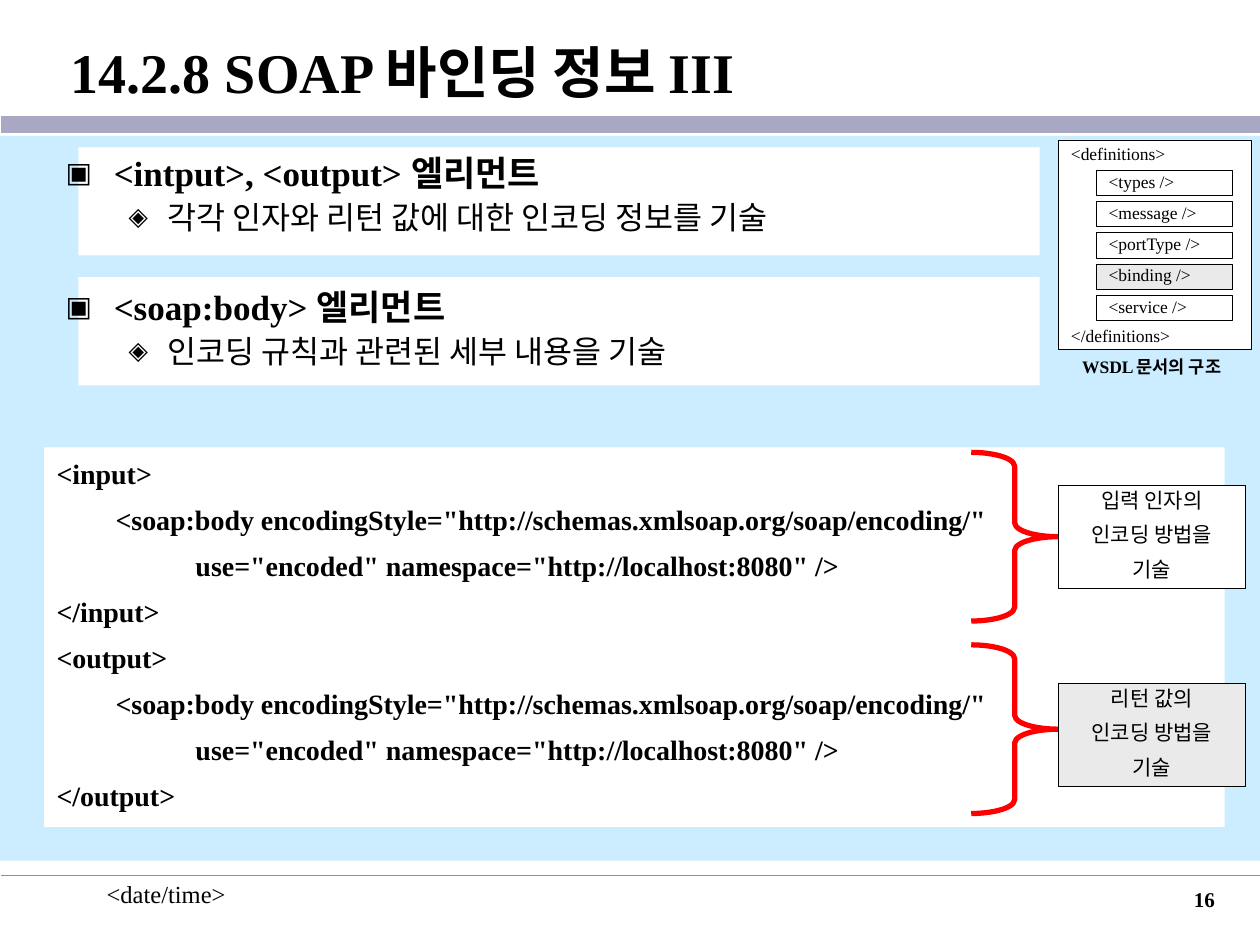
from dataclasses import dataclass

from lxml.etree import SubElement
from pptx import Presentation
from pptx.dml.color import RGBColor
from pptx.enum.shapes import MSO_CONNECTOR, MSO_SHAPE
from pptx.enum.text import MSO_ANCHOR, MSO_AUTO_SIZE, PP_ALIGN
from pptx.oxml.ns import qn
from pptx.util import Cm, Pt


@dataclass(frozen=True)
class Theme:
    font: str = "Times New Roman"
    ink: str = "000000"
    paper: str = "FFFFFF"
    sky: str = "CCECFF"
    highlight: str = "EAEAEA"
    brace: str = "FF0000"
    header_rule: str = "A8A8C4"
    footer_rule: str = "8C8CB2"
    title: int = 32
    topic: int = 20
    detail: int = 18
    code: int = 16
    date: int = 14
    note: int = 12
    small: int = 10


class SlideBuilder:
    def __init__(self, slide, theme):
        self.slide = slide
        self.theme = theme

    def style(self, paragraph, size, bold=False, align=PP_ALIGN.LEFT, spacing=0.85, before=0):
        paragraph.alignment = align
        paragraph.line_spacing = spacing
        paragraph.space_before = Pt(before)
        font = paragraph.font
        font.name = self.theme.font
        font.size = Pt(size)
        font.bold = bold
        font.color.rgb = RGBColor.from_string(self.theme.ink)

    def fill_text(self, shape, lines, size, before=0, anchor=MSO_ANCHOR.TOP, tabs=(), wrap=True, **look):
        frame = shape.text_frame
        frame.word_wrap = wrap
        frame.auto_size = MSO_AUTO_SIZE.NONE
        frame.vertical_anchor = anchor
        for index, line in enumerate(lines):
            paragraph = frame.paragraphs[0] if index == 0 else frame.add_paragraph()
            paragraph.text = line
            if tabs:
                stops = SubElement(paragraph._p.get_or_add_pPr(), qn("a:tabLst"))
                for stop in tabs:
                    SubElement(stops, qn("a:tab"), pos=str(Cm(stop)), algn="l")
            self.style(paragraph, size, before=before if index else 0, **look)

    def place(self, placeholder, left, top, width, height):
        placeholder.left, placeholder.top = Cm(left), Cm(top)
        placeholder.width, placeholder.height = Cm(width), Cm(height)
        placeholder.element.getparent().append(placeholder.element)
        return placeholder

    def title(self, text, *box):
        heading = self.place(self.slide.shapes.title, *box)
        heading.text_frame.margin_left = Cm(1.4)
        self.fill_text(heading, [text], self.theme.title, anchor=MSO_ANCHOR.MIDDLE, bold=True, spacing=1)

    def topics(self, topics, *box):
        body = self.place(self.slide.placeholders[1], *box)
        frame = body.text_frame
        frame.word_wrap = True
        frame.auto_size = MSO_AUTO_SIZE.NONE
        for index, (topic, detail) in enumerate(topics):
            heading = frame.add_paragraph() if index else frame.paragraphs[0]
            self.bullet(heading, topic, "▣", 0.97, 0.97)
            self.style(heading, self.theme.topic, bold=True, spacing=0.9, before=31 if index else 0)
            explanation = frame.add_paragraph()
            explanation.level = 1
            self.bullet(explanation, detail, "◈", 2.06, 0.79)
            self.style(explanation, self.theme.detail, spacing=0.9, before=4.5)

    def bullet(self, paragraph, text, mark, margin, hanging):
        paragraph.text = text
        properties = paragraph._p.get_or_add_pPr()
        properties.set("marL", str(Cm(margin)))
        properties.set("indent", str(-Cm(hanging)))
        colour = SubElement(properties, qn("a:buClr"))
        SubElement(colour, qn("a:srgbClr"), val=self.theme.ink)
        SubElement(properties, qn("a:buSzPct"), val="80000")
        SubElement(properties, qn("a:buChar"), char=mark)

    def box(self, left, top, width, height, fill, outlined=False):
        box = self.slide.shapes.add_shape(
            MSO_SHAPE.RECTANGLE, Cm(left), Cm(top), Cm(width), Cm(height))
        box.shadow.inherit = False
        box.fill.solid()
        box.fill.fore_color.rgb = RGBColor.from_string(fill)
        if outlined:
            box.line.color.rgb = RGBColor.from_string(self.theme.ink)
            box.line.width = Pt(0.25)
        else:
            box.line.fill.background()
        return box

    def label(self, text, left, top, width, height, size, **look):
        label = self.slide.shapes.add_textbox(Cm(left), Cm(top), Cm(width), Cm(height))
        self.fill_text(label, [text], size, **look)

    def rule(self, top, colour, weight):
        rule = self.slide.shapes.add_connector(
            MSO_CONNECTOR.STRAIGHT, Cm(0.03), Cm(top), Cm(25.4), Cm(top))
        rule.line.color.rgb = RGBColor.from_string(colour)
        rule.line.width = Pt(weight)
        SubElement(rule.element.spPr, qn("a:effectLst"))

    def brace(self, left, top, width, height):
        brace = self.slide.shapes.add_shape(
            MSO_SHAPE.RIGHT_BRACE, Cm(left), Cm(top), Cm(width), Cm(height))
        brace.shadow.inherit = False
        brace.adjustments[0] = 0.16
        brace.fill.background()
        brace.line.color.rgb = RGBColor.from_string(self.theme.brace)
        brace.line.width = Pt(3)


def main():
    theme = Theme()
    deck = Presentation()
    deck.slide_width, deck.slide_height = Cm(25.4), Cm(19.05)
    builder = SlideBuilder(deck.slides.add_slide(deck.slide_layouts[1]), theme)

    builder.label("<date/time>", 1.9, 17.6, 5.28, 1.27, theme.date, spacing=1)
    builder.rule(2.51, theme.header_rule, 9.25)
    builder.rule(17.65, theme.footer_rule, 1)
    builder.box(0, 2.74, 25.4, 14.61, theme.sky)
    for panel_top in (2.97, 5.59):
        builder.box(1.58, panel_top, 19.38, 2.18, theme.paper)

    builder.title("14.2.8 SOAP 바인딩 정보 III", 0.03, 0.28, 25.37, 2.29)
    builder.topics([
        ("<intput>, <output> 엘리먼트", "각각 인자와 리턴 값에 대한 인코딩 정보를 기술"),
        ("<soap:body> 엘리먼트", "인코딩 규칙과 관련된 세부 내용을 기술"),
    ], 1.07, 3.02, 23.27, 5.05)

    code = []
    for direction in ("input", "output"):
        code += [
            f"<{direction}>",
            '\t<soap:body encodingStyle="http://schemas.xmlsoap.org/soap/encoding/"',
            '\t\t   use="encoded" namespace="http://localhost:8080" />',
            f"</{direction}>",
        ]
    listing = builder.box(0.89, 9.02, 23.8, 7.65, theme.paper)
    builder.fill_text(listing, code, theme.code, before=10, anchor=MSO_ANCHOR.MIDDLE,
                      tabs=(1.19, 2.38), bold=True)

    for brace_top, note_top, subject, fill in (
        (9.12, 9.78, "입력 인자의", theme.paper),
        (13, 13.77, "리턴 값의", theme.highlight),
    ):
        builder.brace(19.58, brace_top, 1.75, 3.4)
        note = builder.box(21.34, note_top, 3.76, 2.08, fill, outlined=True)
        builder.fill_text(note, [subject, "인코딩 방법을", "기술"], theme.note,
                          before=7.5, align=PP_ALIGN.CENTER)

    definitions = builder.box(21.34, 2.82, 3.89, 4.22, theme.paper, outlined=True)
    builder.fill_text(definitions, ["<definitions>", "</definitions>"], theme.small, before=86)
    definitions.text_frame.paragraphs[1].line_spacing = 1.5
    for row, element in enumerate(("types", "message", "portType", "binding", "service")):
        fill = theme.highlight if element == "binding" else theme.paper
        part = builder.box(22.1, 3.43 + 0.63 * row, 2.74, 0.51, fill, outlined=True)
        builder.fill_text(part, [f"<{element} />"], theme.small, anchor=MSO_ANCHOR.MIDDLE)
    builder.label("WSDL 문서의 구조", 21.46, 7.11, 3.51, 0.61, theme.small,
                  wrap=False, bold=True, align=PP_ALIGN.CENTER)
    builder.label("16", 19.46, 17.75, 5.28, 1.27, theme.note,
                  bold=True, align=PP_ALIGN.RIGHT, spacing=1)

    deck.save("out.pptx")


if __name__ == "__main__":
    main()
